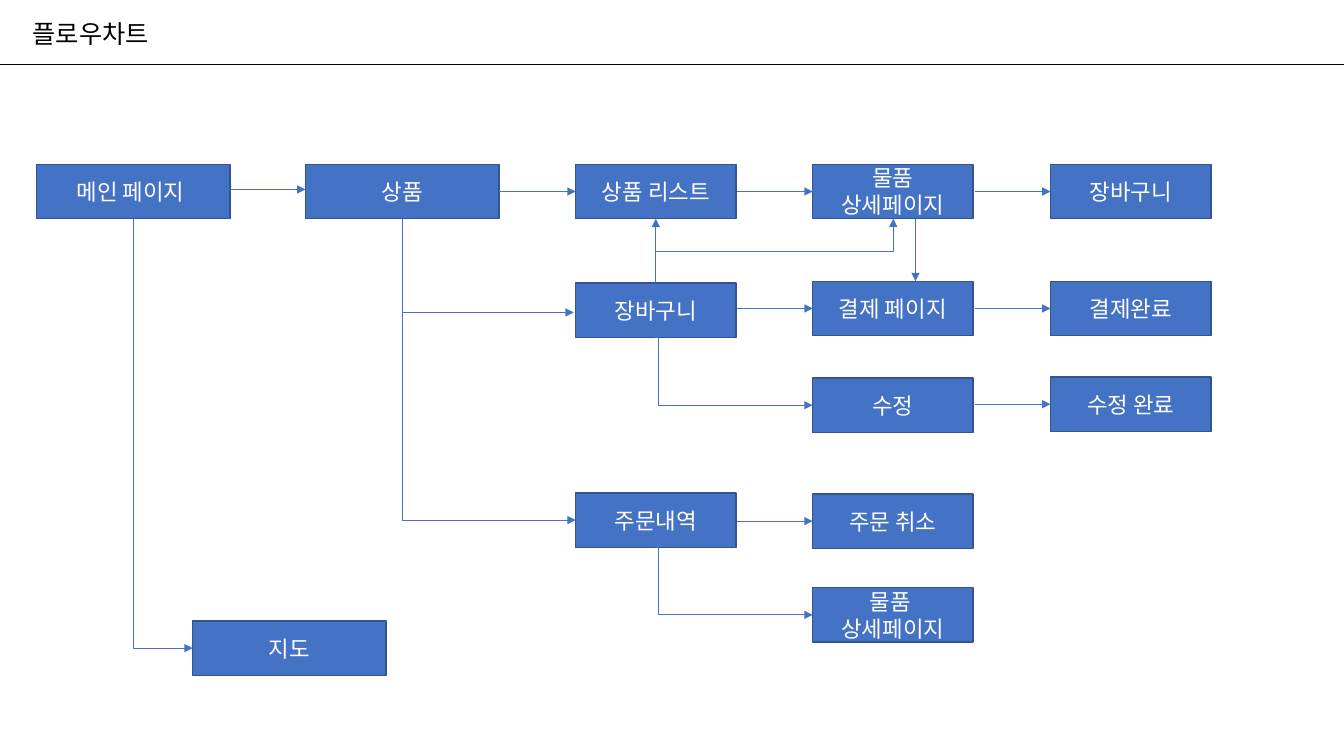
from lxml import etree
from pptx import Presentation
from pptx import util as u
from pptx.dml.color import RGBColor
from pptx.enum import shapes, text
from pptx.oxml.ns import qn

COLORS = {"box": "4472C4", "edge": "325491", "label": "FFFFFF", "ink": "000000"}
TOP, LEFT, BOTTOM, RIGHT = range(4)
BOX_HEIGHT, WIDE, NARROW = 54, 192, 159
COLUMNS = {"main": 36, "map": 191, "goods": 303, "list": 571, "detail": 806, "done": 1042}

# name: (column, top, width, lines)
BOXES = {
    "main": ("main", 163, WIDE, ["메인 페이지 "]),
    "goods": ("goods", 163, WIDE, ["상품"]),
    "list": ("list", 163, NARROW, ["상품 리스트"]),
    "detail": ("detail", 163, NARROW, ["물품", "상세페이지"]),
    "basket": ("done", 163, NARROW, ["장바구니"]),
    "cart": ("list", 281, NARROW, ["장바구니"]),
    "payment": ("detail", 279, NARROW, ["결제 페이지"]),
    "paid": ("done", 279, NARROW, ["결제완료"]),
    "edit": ("detail", 375, NARROW, ["수정"]),
    "edited": ("done", 374, NARROW, ["수정 완료"]),
    "orders": ("list", 489, NARROW, ["주문내역"]),
    "cancel": ("detail", 490, NARROW, ["주문 취소"]),
    "ordered": ("detail", 583, NARROW, ["물품 ", "상세페이지"]),
    "map": ("map", 616, WIDE, ["지도"]),
}

# (start, end, box joined at start, box joined at end)
ARROWS = [
    ((228, 188), (303, 188), None, None),
    ((495, 190), (571, 190), ("goods", RIGHT), ("list", LEFT)),
    ((731, 190), (806, 190), None, ("detail", LEFT)),
    ((967, 190), (1042, 190), None, ("basket", LEFT)),
    ((731, 306), (806, 306), None, ("payment", LEFT)),
    ((967, 306), (1042, 306), None, ("paid", LEFT)),
    ((967, 401), (1042, 401), None, ("edited", LEFT)),
    ((731, 517), (806, 517), None, ("cancel", LEFT)),
    ((908, 217), (908, 279), None, None),
    ((650, 281), (650, 217), ("cart", TOP), ("list", BOTTOM)),
]

DOWN_THEN_RIGHT = {"preset": "bentConnector2", "turn": 270, "flips": ["flipH"]}
NEAR_START = {"preset": "bentConnector3", "bend": 2000}
UP_RIGHT_UP = {"preset": "bentConnector3", "turn": 90, "flips": ["flipH", "flipV"]}
ELBOWS = [
    ((399, 217), (569, 310), DOWN_THEN_RIGHT),
    ((399, 261), (571, 516), DOWN_THEN_RIGHT),
    ((132, 217), (191, 643), DOWN_THEN_RIGHT),
    ((650, 335), (806, 402), NEAR_START),
    ((650, 543), (806, 610), NEAR_START),
    ((650, 281), (886, 217), UP_RIGHT_UP),
]


def px(length):
    return u.Emu(round(length * 9144))


def assign(target, values):
    for name, value in values.items():
        setattr(target, name, value)


class FlowPage:
    def __init__(self, page, font):
        self.page = page
        self.font = font
        self.boxes = {}

    def place(self, shape, left, top, width, height):
        assign(shape, {"left": px(left), "top": px(top),
                       "width": px(width), "height": px(height)})

    def label(self, frame, lines, size, color):
        frame.text = "\n".join(lines)
        for para in frame.paragraphs:
            para.alignment = text.PP_ALIGN.CENTER
            for span in para.runs:
                assign(span.font, {"name": self.font, "size": u.Pt(size)})
                span.font.color.rgb = RGBColor.from_string(COLORS[color])
                east_asian = etree.SubElement(span.font._element, qn("a:ea"))
                east_asian.set("typeface", self.font)

    def title(self, words, left, top, width, height):
        title = self.page.shapes.title
        self.place(title, left, top, width, height)
        assign(title.text_frame, {"vertical_anchor": text.MSO_ANCHOR.TOP, "word_wrap": True,
                                  "auto_size": text.MSO_AUTO_SIZE.SHAPE_TO_FIT_TEXT})
        self.label(title.text_frame, [words], 18, "ink")

    def box(self, name, left, top, width, lines):
        box = self.page.shapes.add_shape(shapes.MSO_SHAPE.RECTANGLE, px(left), px(top),
                                         px(width), px(BOX_HEIGHT))
        box.shadow.inherit = False
        box.fill.solid()
        box.fill.fore_color.rgb = RGBColor.from_string(COLORS["box"])
        box.line.color.rgb = RGBColor.from_string(COLORS["edge"])
        box.line.width = u.Pt(1)
        assign(box.text_frame, {"vertical_anchor": text.MSO_ANCHOR.MIDDLE, "word_wrap": True})
        self.label(box.text_frame, lines, 16, "label")
        self.boxes[name] = box

    def line(self, start, end, color="box", head=True, kind=shapes.MSO_CONNECTOR.STRAIGHT):
        line = self.page.shapes.add_connector(kind, *map(px, start + end))
        line.line.color.rgb = RGBColor.from_string(COLORS[color])
        line.line.width = u.Pt(0.5)
        properties = line._element.spPr
        if head:
            etree.SubElement(properties.find(qn("a:ln")), qn("a:tailEnd")).set("type", "triangle")
        etree.SubElement(properties, qn("a:effectLst"))
        return line

    def arrow(self, start, end, source, target):
        arrow = self.line(start, end)
        if source:
            arrow.begin_connect(self.boxes[source[0]], source[1])
        if target:
            arrow.end_connect(self.boxes[target[0]], target[1])

    def elbow(self, start, end, preset, turn=0, flips=(), bend=None):
        """Draw a bent arrow; a quarter turn swaps its sides about the centre."""
        elbow = self.line(start, end, kind=shapes.MSO_CONNECTOR.ELBOW)
        width, height = abs(end[0] - start[0]), abs(end[1] - start[1])
        if turn:
            width, height = height, width
        self.place(elbow, (start[0] + end[0] - width) / 2,
                   (start[1] + end[1] - height) / 2, width, height)
        properties = elbow._element.spPr
        frame = properties.find(qn("a:xfrm"))
        for flip in ("flipH", "flipV"):
            frame.set(flip, "1" if flip in flips else "0")
        frame.set("rot", str(turn * 60000))
        geometry = properties.find(qn("a:prstGeom"))
        geometry.set("prst", preset)
        if bend is not None:
            guide = etree.SubElement(geometry.find(qn("a:avLst")), qn("a:gd"))
            guide.set("name", "adj1")
            guide.set("fmla", f"val {bend}")


def main():
    deck = Presentation()
    assign(deck, {"slide_width": px(1333), "slide_height": px(750)})
    flow = FlowPage(deck.slides.add_slide(deck.slide_layouts[5]), "Noto Sans CJK KR")
    flow.title("플로우차트", -11, 13, 202, 40)
    flow.line((0, 64), (1333, 64), color="ink", head=False)
    for name, (column, top, width, lines) in BOXES.items():
        flow.box(name, COLUMNS[column], top, width, lines)
    for arrow in ARROWS:
        flow.arrow(*arrow)
    for start, end, bends in ELBOWS:
        flow.elbow(start, end, **bends)
    deck.save("out.pptx")


if __name__ == "__main__":
    main()
